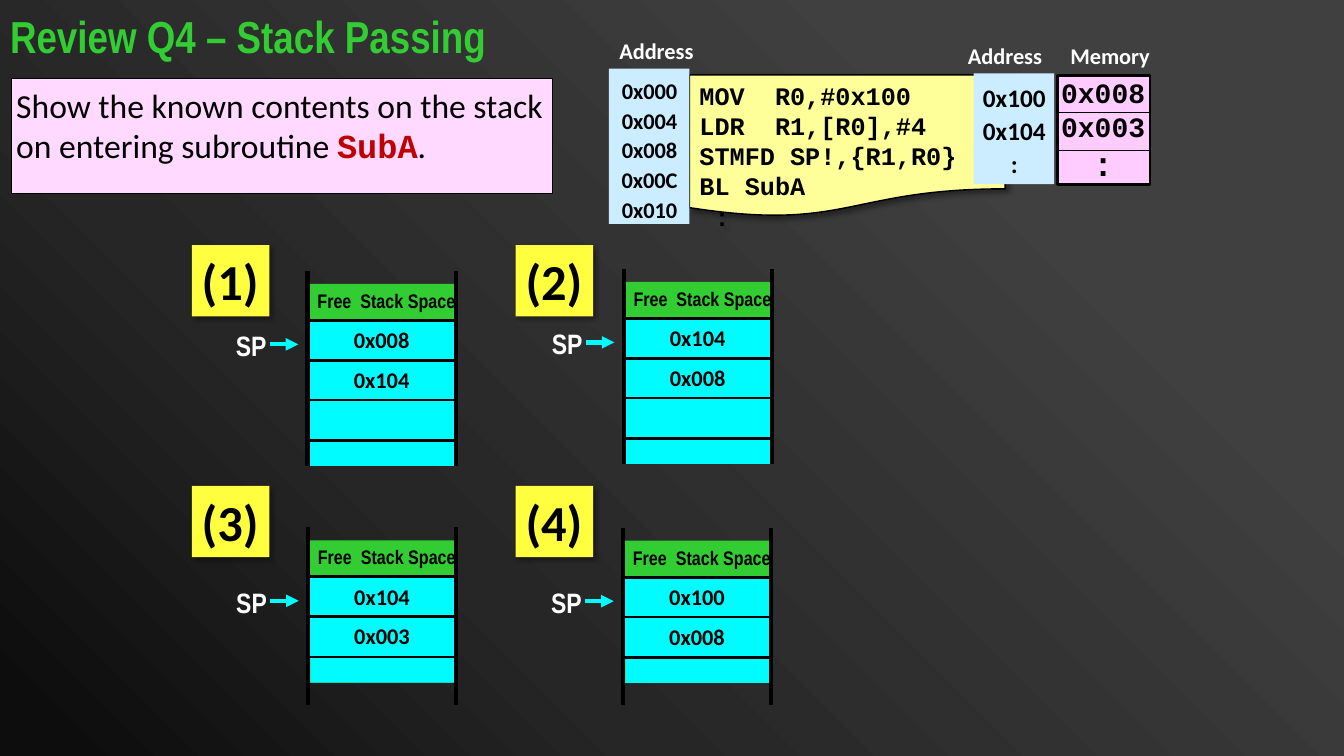
from dataclasses import dataclass

from lxml.etree import SubElement
from pptx import Presentation
from pptx.dml.color import RGBColor
from pptx.enum.shapes import MSO_CONNECTOR, MSO_SHAPE
from pptx.enum.text import MSO_ANCHOR, MSO_AUTO_SIZE, PP_ALIGN
from pptx.oxml.ns import qn
from pptx.util import Pt


@dataclass(frozen=True)
class Theme:
    black: str = "000000"
    white: str = "FFFFFF"
    green: str = "32CD32"
    red: str = "C00000"
    cyan: str = "00FCFF"
    blue: str = "CCECFF"
    pink: str = "FFCCFF"
    rose: str = "FFD9FF"
    cream: str = "FFFF99"
    yellow: str = "FFFF40"
    fade: tuple = ((0, "404040"), (23, "404040"), (69, "262626"), (97, "0D0D0D"))
    sans: str = "Calibri"
    slim: str = "Arial Narrow"
    mono: str = "Courier New"
    badge: int = 36
    title: int = 32
    large: int = 24
    mid: int = 20
    code: int = 18
    small: int = 16
    note: int = 14


theme = Theme()
RECT, PAPER = MSO_SHAPE.RECTANGLE, MSO_SHAPE.FLOWCHART_DOCUMENT
LEFT, CENTER, RIGHT = PP_ALIGN.LEFT, PP_ALIGN.CENTER, PP_ALIGN.RIGHT
GROW = MSO_AUTO_SIZE.SHAPE_TO_FIT_TEXT

# Text formats: font, size, colour, weight, alignment, margins, frame and line settings
base = dict(name=theme.sans, size=theme.small, color=theme.black, bold=True,
            align=LEFT, pad=(7.2, 3.6, 7.2, 3.6), frame={}, lines={})
styles = {
    "ask": base | dict(size=theme.large, bold=False, pad=(3.6, 0, 0, 0),
                       frame=dict(auto_size=GROW)),
    "badge": base | dict(size=theme.badge, frame=dict(word_wrap=False, auto_size=GROW)),
    "code": base | dict(name=theme.mono, size=theme.code),
    "head": base | dict(color=theme.white, align=CENTER, pad=(3.6,) * 4,
                        frame=dict(auto_size=GROW)),
    "list": base | dict(align=CENTER, pad=(0,) * 4, frame=dict(auto_size=GROW),
                        lines=dict(space_after=Pt(2))),
    "data": base | dict(name=theme.mono, size=theme.mid, align=CENTER, pad=(0,) * 4,
                        frame=dict(auto_size=GROW)),
    "free": base | dict(name=theme.slim, size=theme.note, frame=dict(word_wrap=False)),
    "cell": base | dict(align=CENTER, pad=(7.2, 1.4, 7.2, 1.4),
                        frame=dict(vertical_anchor=MSO_ANCHOR.MIDDLE),
                        lines=dict(line_spacing=Pt(18))),
    "sp": base | dict(name=theme.slim, size=theme.mid, color=theme.white, align=RIGHT,
                      pad=(1.4, 1.4, 0, 1.4),
                      frame=dict(vertical_anchor=MSO_ANCHOR.MIDDLE, auto_size=GROW)),
}


def draw(home, area, fill=None, edge=0, text=(), style="code", shade=False, kind=RECT):
    """Add a filled shape, or a text box when there is no fill, with its lines of text."""
    place = [Pt(n) for n in area]
    if fill:
        shape = home.add_shape(kind, *place)
        shape.fill.solid()
        shape.fill.fore_color.rgb = RGBColor.from_string(fill)
        shape.shadow.inherit = False
        if edge:
            shape.line.color.rgb = RGBColor.from_string(theme.black)
            shape.line.width = Pt(edge)
        else:
            shape.line.fill.background()
    else:
        shape = home.add_textbox(*place)
    if shade:
        effect = next(shape.element.iter(qn("a:effectLst")))
        drop = SubElement(effect, qn("a:outerShdw"), blurRad=str(Pt(4)),
                          dist=str(Pt(3)), dir=str(45 * 60000))
        tint = SubElement(drop, qn("a:srgbClr"), val=theme.black)
        SubElement(tint, qn("a:alpha"), val="40000")
    if not text:
        return shape
    look, frame = styles[style], shape.text_frame
    sides = [f"margin_{side}" for side in ("left", "top", "right", "bottom")]
    specs = dict(word_wrap=True, vertical_anchor=MSO_ANCHOR.TOP) | look["frame"]
    for key, value in (specs | dict(zip(sides, map(Pt, look["pad"])))).items():
        setattr(frame, key, value)
    for i, words in enumerate(text):
        para = frame.add_paragraph() if i else frame.paragraphs[0]
        for key, value in (look["lines"] | dict(alignment=look["align"])).items():
            setattr(para, key, value)
        run = para.add_run()
        run.text = words
        for key, value in dict(name=look["name"], size=Pt(look["size"]),
                               bold=look["bold"]).items():
            setattr(run.font, key, value)
        run.font.color.rgb = RGBColor.from_string(look["color"])
    return shape


def rule(home, ends, color, weight, head=False):
    """Add a straight line, with an arrowhead on request."""
    line = home.add_connector(MSO_CONNECTOR.STRAIGHT, *[Pt(n) for n in ends])
    line.line.color.rgb = RGBColor.from_string(color)
    line.line.width = Pt(weight)
    if head:
        SubElement(next(line.element.iter(qn("a:ln"))), qn("a:tailEnd"), type="triangle")
    SubElement(line.element.spPr, qn("a:effectLst"))


# Slide and background
deck = Presentation()
deck.slide_width, deck.slide_height = Pt(960), Pt(540)
slide = deck.slides.add_slide(deck.slide_layouts[5])
shapes = slide.shapes
back = slide.background.fill
back.gradient()
back.gradient_angle = 225
stops = next(slide.element.iter(qn("a:gsLst")))
stops.clear()
for spot, color in theme.fade:
    stop = SubElement(stops, qn("a:gs"), pos=str(spot * 1000))
    SubElement(stop, qn("a:srgbClr"), val=color)

# Question
draw(shapes, (8, 56, 387, 82), theme.rose, 0.75)

# Title
title = shapes.title
for key, value in dict(left=0, top=3, width=676, height=50).items():
    setattr(title, key, Pt(value))
title.text_frame.text = "Review Q4 – Stack Passing"
for key, value in dict(vertical_anchor=MSO_ANCHOR.MIDDLE, word_wrap=True,
                       auto_size=MSO_AUTO_SIZE.NONE).items():
    setattr(title.text_frame, key, value)
para = title.text_frame.paragraphs[0]
para.alignment, para.line_spacing = LEFT, 0.9
for key, value in dict(name=theme.slim, size=Pt(theme.title), bold=True).items():
    setattr(para.runs[0].font, key, value)
para.runs[0].font.color.rgb = RGBColor.from_string(theme.green)

# Question text
ask = draw(shapes, (8, 60.5, 384, 58), style="ask",
           text=["Show the known contents on the stack on entering subroutine "])
for words, name, color, bold in (("SubA", theme.mono, theme.red, True),
                                 (".", theme.sans, theme.black, False)):
    run = ask.text_frame.paragraphs[0].add_run()
    run.text = words
    for key, value in dict(name=name, size=Pt(theme.large), bold=bold).items():
        setattr(run.font, key, value)
    run.font.color.rgb = RGBColor.from_string(color)

# Code listing
draw(shapes, (492.5, 53.5, 225.5, 101.5), theme.cream, 1, shade=True, kind=PAPER,
     text=["MOV  R0,#0x100", "LDR  R1,[R0],#4", "STMFD SP!,{R1,R0}", "BL SubA", " :"])

# Memory
draw(shapes, (755.5, 54, 66, 78), theme.pink, 2)
draw(shapes, (753, 26.5, 80, 26.5), text=["Memory"], style="head")
for y in (80.5, 107.5):
    rule(shapes, (755, y, 821.5, y), theme.black, 0.75)
data = draw(shapes, (756, 54, 64, 78), text=["0x008", "0x003", ":"], style="data")
data.text_frame.paragraphs[2].runs[0].font.size = Pt(theme.large)

# Address columns
for x, y, high, start, size, cells in (
        (695.5, 52.5, 79, 676, theme.code, ["0x100", "0x104", ":"]),
        (435, 49, 111, 427, theme.small, ["0x000", "0x004", "0x008", "0x00C", "0x010"])):
    home = shapes.add_group_shape().shapes
    draw(home, (x, y, 57.5, high), theme.blue)
    head = draw(home, (start, y - 26, 72, 26.5), text=["Address"], style="head")
    head.text_frame.paragraphs[0].alignment = RIGHT
    column = draw(home, (x, y + 6, 58, high - 6), text=cells, style="list")
    for para in column.text_frame.paragraphs:
        para.runs[0].font.size = Pt(size)

# Answer stacks: top left corner, rail length, known words, count of full rows
row, wide = 28.4, 105.8
for i, (x, y, rail, words, count) in enumerate((
        (219.7, 193.6, 139, ["0x008", "0x104"], 3),
        (445.5, 192.2, 139, ["0x104", "0x008"], 3),
        (220, 376.8, 126.5, ["0x104", "0x003"], 2),
        (445, 377, 126.5, ["0x100", "0x008"], 2))):
    badge = (137 + i % 2 * 231.3, 175 + i // 2 * 172, 55.5, 51)
    draw(shapes, badge, theme.yellow, text=[f"({i + 1})"], style="badge", shade=True)
    home = shapes.add_group_shape().shapes
    first = y + 35.3
    last = first + count * row
    draw(home, (x, y + 9.2, wide, last + 18.7 - y - 9.2), theme.green,
         text=["Free  Stack Space"], style="free")
    draw(home, (x + 1.8, last, wide - 0.8, 18.7), theme.cyan)
    for j in range(count):
        draw(home, (x, first + j * row, wide, 28.8), theme.cyan, 2,
             text=words[j:j + 1], style="cell")
    draw(home, (x - 63.4, y + 39.6, 34, 27.4), text=["SP"], style="sp")
    rule(home, (x - 26.8, y + 52.4, x - 6.6, y + 52.4), theme.cyan, 3, head=True)
    for side in (x + wide, x):
        rule(home, (side, y, side, y + rail), theme.black, 3)

deck.save("out.pptx")
